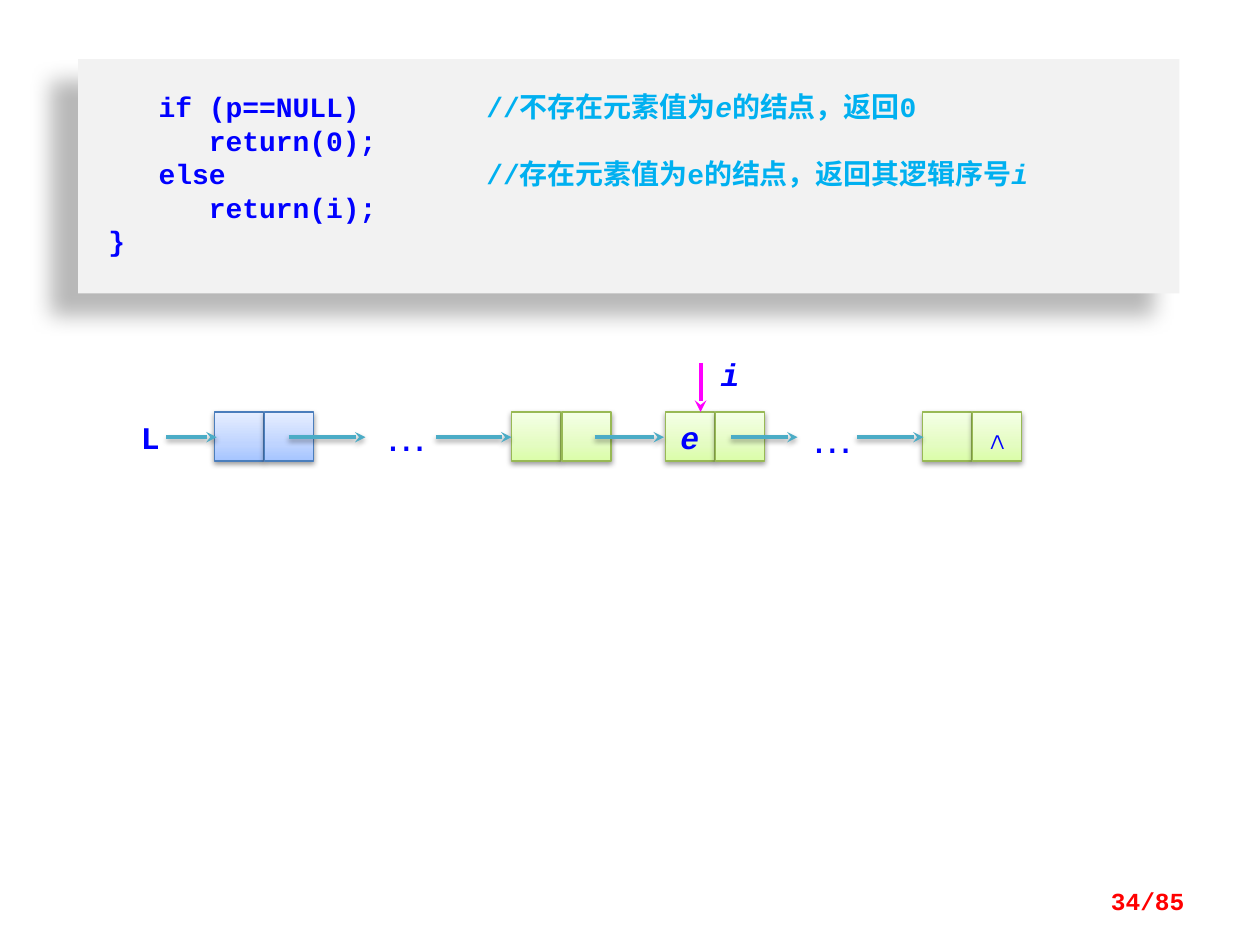
from lxml import etree
from pptx import Presentation
from pptx.dml.color import RGBColor
from pptx.enum.shapes import MSO_CONNECTOR, MSO_SHAPE
from pptx.enum.text import MSO_ANCHOR, PP_ALIGN
from pptx.oxml.ns import qn
from pptx.util import Inches, Pt

RECTANGLE = MSO_SHAPE.RECTANGLE
STRAIGHT = MSO_CONNECTOR.STRAIGHT
TOP, MIDDLE = MSO_ANCHOR.TOP, MSO_ANCHOR.MIDDLE
LEFT, CENTER, RIGHT = PP_ALIGN.LEFT, PP_ALIGN.CENTER, PP_ALIGN.RIGHT

COLORS = {
    "code": "0000FF", "comment": "00B0F0", "panel": "F2F2F2", "page": "FF0000",
    "link": "4BACC6", "pointer": "FF00FF", "shadow": "000000",
    "head_line": "4B7EBC", "node_line": "98B955",
}
GRADIENTS = {
    "head": [(0, "A4C4FF"), (35, "BFD4FF"), (100, "E6EEFF")],
    "node": [(0, "DAFDA7"), (35, "E4FCC2"), (100, "F5FFE7")],
}
MONO = "Courier New"
CELL = 0.39
CELL_STEP = 0.4
ROW_TOP = 3.27
LINK_Y = 3.47
TAB_STOPS = (1, 2, 3)
NODES = [
    (1.7, "head", "", ""),
    (4.06, "node", "", ""),
    (5.28, "node", "e", ""),
    (7.32, "node", "", "∧"),
]
LINKS = [(1.32, 1.72), (2.29, 2.9), (3.46, 4.06), (4.72, 5.27), (5.8, 6.33), (6.8, 7.33)]
CODE_LINES = [
    [("   if (p==NULL)\t\t", "code", False), ("//不存在元素值为", "comment", False),
     ("e", "comment", True), ("的结点，返回0", "comment", False)],
    [("      return(0);", "code", False)],
    [("   else\t\t\t", "code", False),
     ("//存在元素值为e的结点，返回其逻辑序号", "comment", False), ("i", "comment", True)],
    [("      return(i);", "code", False)],
    [("}", "code", False)],
]


def rgb(name):
    return RGBColor.from_string(COLORS[name])


def add_color(parent, value):
    return etree.SubElement(parent, qn("a:srgbClr"), val=value)


def set_shadow(shape, alpha=38, blur=3.1, distance=1.6, angle=90):
    effects = etree.SubElement(shape._element.spPr, qn("a:effectLst"))
    outer = etree.SubElement(effects, qn("a:outerShdw"), blurRad=str(Pt(blur)),
                             dist=str(Pt(distance)), dir=str(angle * 60000),
                             algn="ctr", rotWithShape="0")
    color = add_color(outer, COLORS["shadow"])
    etree.SubElement(color, qn("a:alpha"), val=str(alpha * 1000))


def set_gradient(shape, stops):
    shape.fill.gradient()
    gradient = shape._element.spPr.find(qn("a:gradFill"))
    for child in list(gradient):
        gradient.remove(child)
    stop_list = etree.SubElement(gradient, qn("a:gsLst"))
    for position, value in stops:
        add_color(etree.SubElement(stop_list, qn("a:gs"), pos=str(position * 1000)), value)
    etree.SubElement(gradient, qn("a:lin"), ang=str(270 * 60000), scaled="0")


def set_tabs(paragraph):
    tabs = etree.SubElement(paragraph._p.get_or_add_pPr(), qn("a:tabLst"))
    for stop in TAB_STOPS:
        etree.SubElement(tabs, qn("a:tab"), pos=str(Inches(stop)), algn="l")


def set_font(font, size, color="code", name=MONO, bold=True, italic=False):
    font.name, font.size = name, Pt(size)
    font.bold, font.italic = bold, italic
    font.color.rgb = rgb(color)


def write(shape, text, size, align=LEFT, anchor=TOP, **style):
    frame = shape.text_frame
    frame.vertical_anchor = anchor
    paragraph = frame.paragraphs[0]
    paragraph.text = text
    paragraph.alignment = align
    set_font(paragraph.font, size, **style)


def add_label(shapes, box, text, size, **style):
    label = shapes.add_textbox(*map(Inches, box))
    label.text_frame.word_wrap = True
    write(label, text, size, **style)


def add_cell(shapes, left, kind, text):
    cell = shapes.add_shape(RECTANGLE, Inches(left), Inches(ROW_TOP), Inches(CELL), Inches(CELL))
    set_gradient(cell, GRADIENTS[kind])
    cell.line.color.rgb = rgb(kind + "_line")
    cell.line.width = Pt(0.75)
    set_shadow(cell)
    if text:
        cell.text_frame.word_wrap = False
        write(cell, text, 18, CENTER, MIDDLE, italic=text == "e")


def add_arrow(shapes, start, end, color, width, shadowed):
    arrow = shapes.add_connector(STRAIGHT, *map(Inches, start + end))
    arrow.line.color.rgb = rgb(color)
    arrow.line.width = Pt(width)
    etree.SubElement(arrow.line._get_or_add_ln(), qn("a:tailEnd"), type="stealth")
    if shadowed:
        set_shadow(arrow)
    else:
        etree.SubElement(arrow._element.spPr, qn("a:effectLst"))


def add_linked_list(slide):
    shapes = slide.shapes.add_group_shape().shapes
    for left, kind, data, pointer in NODES:
        add_cell(shapes, left, kind, data)
        add_cell(shapes, left + CELL_STEP, kind, pointer)
    for start, end in LINKS:
        add_arrow(shapes, (start, LINK_Y), (end, LINK_Y), "link", 2, True)
    add_arrow(shapes, (5.56, 2.88), (5.56, ROW_TOP), "pointer", 2.25, False)
    add_label(shapes, (1.02, ROW_TOP, 0.29, 0.4), "L", 18)
    add_label(shapes, (5.62, 2.77, 0.39, 0.4), "i", 18, italic=True)
    for left, top in [(2.96, 3.2), (6.34, 3.22)]:
        add_label(shapes, (left, top, 0.79, 0.5), "…", 24, name="Arial", bold=False)


def add_code_panel(slide):
    panel = slide.shapes.add_shape(RECTANGLE, Inches(0.62), Inches(0.47),
                                   Inches(8.74), Inches(1.86))
    panel.fill.solid()
    panel.fill.fore_color.rgb = rgb("panel")
    panel.line.fill.background()
    set_shadow(panel, 28, 11.8, 19.7, 141)
    frame = panel.text_frame
    frame.word_wrap = True
    frame.vertical_anchor = TOP
    frame.margin_left = frame.margin_top = Inches(0.24)
    frame.margin_right, frame.margin_bottom = Inches(0.16), Inches(0.28)
    for index, parts in enumerate(CODE_LINES):
        paragraph = frame.add_paragraph() if index else frame.paragraphs[0]
        paragraph.alignment = LEFT
        set_tabs(paragraph)
        for text, color, italic in parts:
            run = paragraph.add_run()
            run.text = text
            set_font(run.font, 16, color, italic=italic)


def main():
    presentation = Presentation()
    presentation.slide_width, presentation.slide_height = Inches(10), Inches(7.5)
    slide = presentation.slides.add_slide(presentation.slide_layouts[6])
    add_linked_list(slide)
    add_code_panel(slide)
    add_label(slide.shapes, (7.17, 6.95, 2.33, 0.4), "34/85", 14,
              align=RIGHT, anchor=MIDDLE, color="page")
    presentation.save("out.pptx")


if __name__ == "__main__":
    main()
